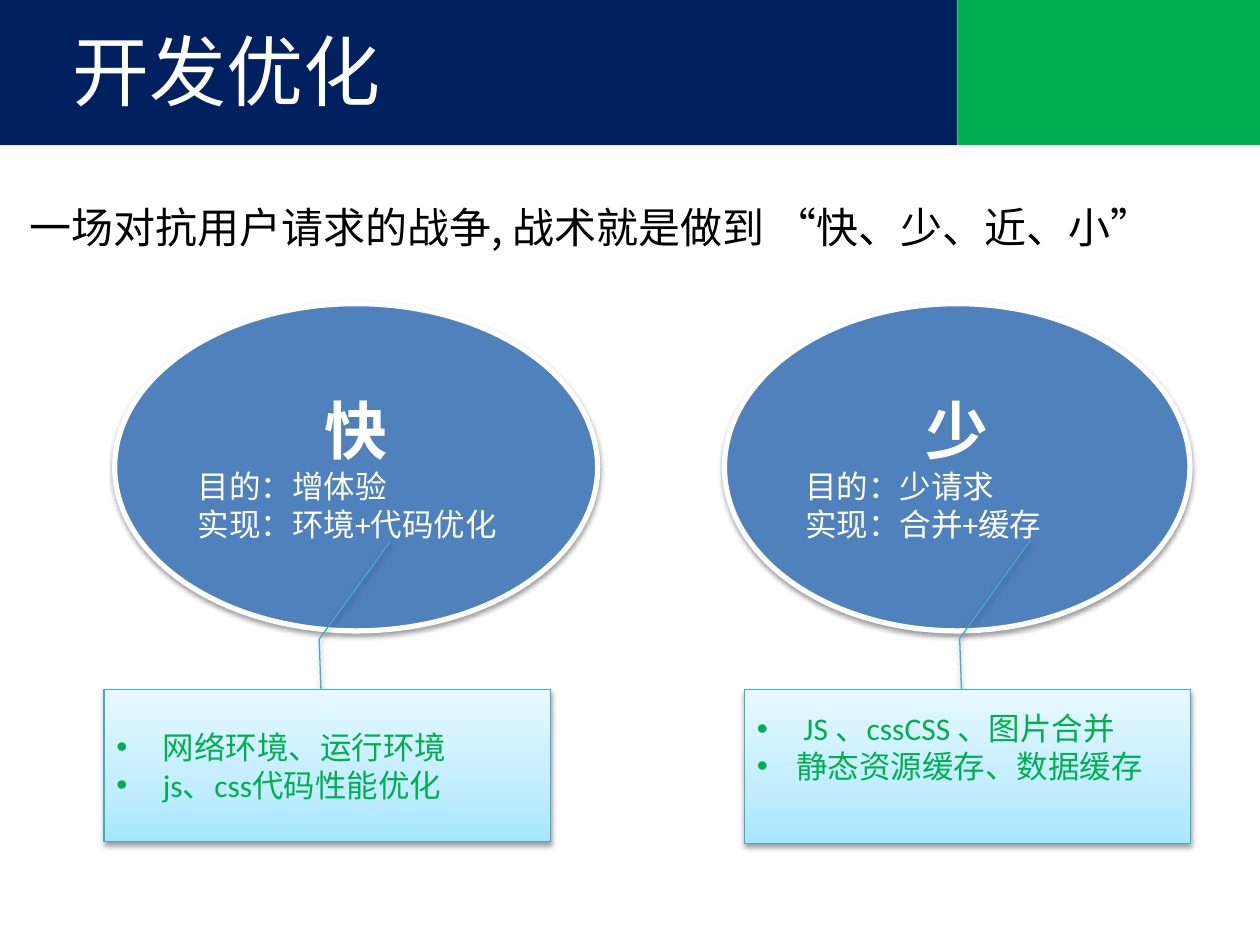
from copy import deepcopy
from dataclasses import dataclass

from lxml import etree
from pptx import Presentation
from pptx import util as u
from pptx.dml.color import RGBColor
from pptx.enum import shapes, text
from pptx.oxml.ns import qn


@dataclass(frozen=True)
class Theme:
    navy: str = "002060"
    green: str = "00B050"
    blue: str = "4F81BD"
    teal: str = "46AAC5"
    white: str = "FFFFFF"
    black: str = "000000"
    sky: tuple = ((0, "A7E6FF"), (0.35, "C1EDFF"), (1, "E7F8FF"))
    heading: str = "Noto Sans CJK SC"
    body: str = "Calibri"
    title_size: float = 44
    word_size: float = 36
    lead_size: float = 24
    body_size: float = 18


class Deck:
    """Draws styled elements on the current slide, with lengths in points."""

    def __init__(self, prs, theme):
        self.t = theme
        self.s = prs.slides.add_slide(prs.slide_layouts[5])

    def run(self, p, words, size, color, font, bold=False):
        r = p.add_run()
        r.text = words
        r.font.size, r.font.bold, r.font.name = u.Pt(size), bold, font
        r.font.color.rgb = RGBColor.from_string(color)
        ea = etree.SubElement(r.font._element, qn("a:ea"))
        ea.set("typeface", font)

    def shape(self, kind, box, fill=None, line=None, width=0):
        sp = self.s.shapes.add_shape(kind, *(u.Pt(v) for v in box))
        sp.shadow.inherit = False
        if fill:
            sp.fill.solid()
            sp.fill.fore_color.rgb = RGBColor.from_string(fill)
        if line:
            sp.line.color.rgb = RGBColor.from_string(line)
            sp.line.width = u.Pt(width)
        else:
            sp.line.fill.background()
        return sp

    def cast_shadow(self, sp):
        effects = sp.element.spPr.find(qn("a:effectLst"))
        shadow = etree.SubElement(effects, qn("a:outerShdw"), blurRad=str(u.Pt(3.1)),
                                  dist=str(u.Pt(1.6)), dir="5400000", rotWithShape="0")
        color = etree.SubElement(shadow, qn("a:srgbClr"), val=self.t.black)
        etree.SubElement(color, qn("a:alpha"), val="38000")

    def bar(self, box, fill):
        self.shape(shapes.MSO_SHAPE.RECTANGLE, box, fill)

    def title(self, box, words):
        sp = self.s.shapes.title
        self.s.shapes.element.append(sp.element)
        sp.left, sp.top, sp.width, sp.height = (u.Pt(v) for v in box)
        self.heading(sp, words, self.t.title_size, self.t.white)

    def lead(self, box, words):
        sp = self.s.shapes.add_textbox(*(u.Pt(v) for v in box))
        self.heading(sp, words, self.t.lead_size, self.t.black)

    def heading(self, sp, words, size, color):
        tf = sp.text_frame
        tf.word_wrap = True
        tf.auto_size = text.MSO_AUTO_SIZE.NONE
        tf.vertical_anchor = text.MSO_ANCHOR.TOP
        p = tf.paragraphs[0]
        p.alignment = text.PP_ALIGN.LEFT
        self.run(p, words, size, color, self.t.heading)

    def oval(self, box, word, lines):
        t = self.t
        sp = self.shape(shapes.MSO_SHAPE.OVAL, box, t.blue, t.white, 3)
        self.cast_shadow(sp)
        tf = sp.text_frame
        p = tf.paragraphs[0]
        p.alignment = text.PP_ALIGN.CENTER
        self.run(p, word, t.word_size, t.white, t.body, True)
        for words in lines:
            p = tf.add_paragraph()
            p.alignment = text.PP_ALIGN.LEFT
            self.run(p, words, t.body_size, t.white, t.body)

    def callout(self, box, lines, lift=0):
        t = self.t
        sp = self.shape(shapes.MSO_SHAPE.LINE_CALLOUT_2, box, line=t.teal, width=0.75)
        for i, value in enumerate((0, 0.486, -0.331, 0.482, -0.968, 0.64)):
            sp.adjustments[i] = value
        sp.fill.gradient()
        sp.fill.gradient_angle = 90
        stops = sp.element.spPr.find(".//" + qn("a:gsLst"))
        stops.append(deepcopy(stops[0]))
        for stop, (position, color) in zip(sp.fill.gradient_stops, t.sky):
            stop.position = position
            stop.color.rgb = RGBColor.from_string(color)
        self.cast_shadow(sp)
        tf = sp.text_frame
        tf.margin_bottom = u.Pt(3.6 + lift)
        for i, words in enumerate(lines):
            p = tf.add_paragraph() if i else tf.paragraphs[0]
            p.alignment = text.PP_ALIGN.LEFT
            pPr = p._p.get_or_add_pPr()
            pPr.set("marL", str(u.Pt(22.5)))
            pPr.set("indent", str(u.Pt(-22.5)))
            etree.SubElement(pPr, qn("a:buFont"), typeface="Arial")
            etree.SubElement(pPr, qn("a:buChar"), char="•")
            self.run(p, words, t.body_size, t.green, t.body)


def main():
    prs = Presentation()
    prs.slide_width, prs.slide_height = u.Pt(720), u.Pt(540)
    theme = Theme()
    deck = Deck(prs, theme)
    deck.bar((0, -2, 547, 85), theme.navy)
    deck.bar((547, -2, 173, 85), theme.green)
    deck.title((34, 10, 615, 90), "开发优化")
    deck.lead((10, 111.5, 718, 62.5), "一场对抗用户请求的战争, 战术就是做到 “快、少、近、小”")
    deck.oval((414, 173.5, 266, 187), "少", ("目的：少请求", "实现：合并+缓存"))
    deck.callout((425.5, 394, 255, 88),
                 (" JS 、cssCSS 、图片合并", "静态资源缓存、数据缓存"), lift=22)
    deck.oval((65.5, 173.5, 276, 187), "快", ("目的：增体验", "实现：环境+代码优化"))
    deck.callout((59.5, 394, 255, 87),
                 (" 网络环境、运行环境", " js、css代码性能优化"))
    prs.save("out.pptx")


if __name__ == "__main__":
    main()
